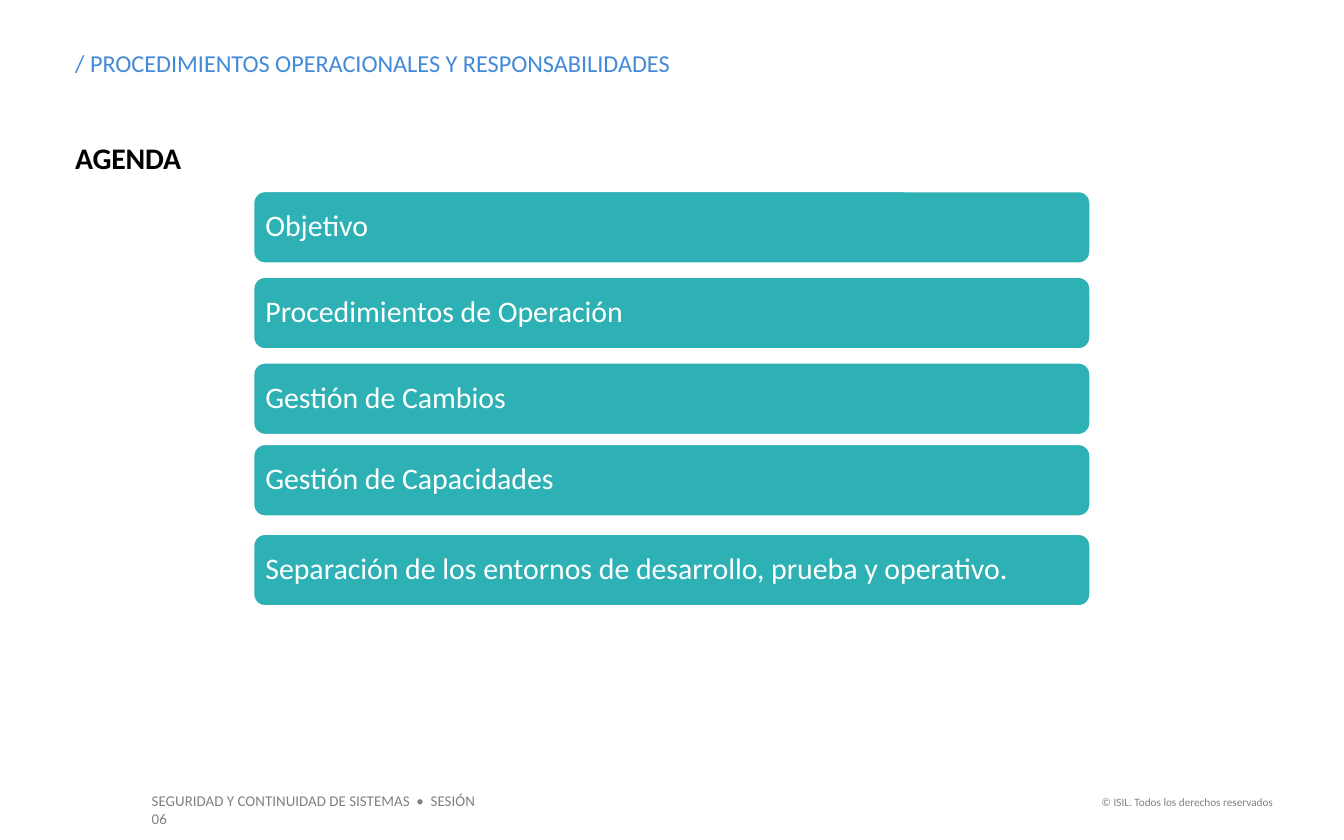
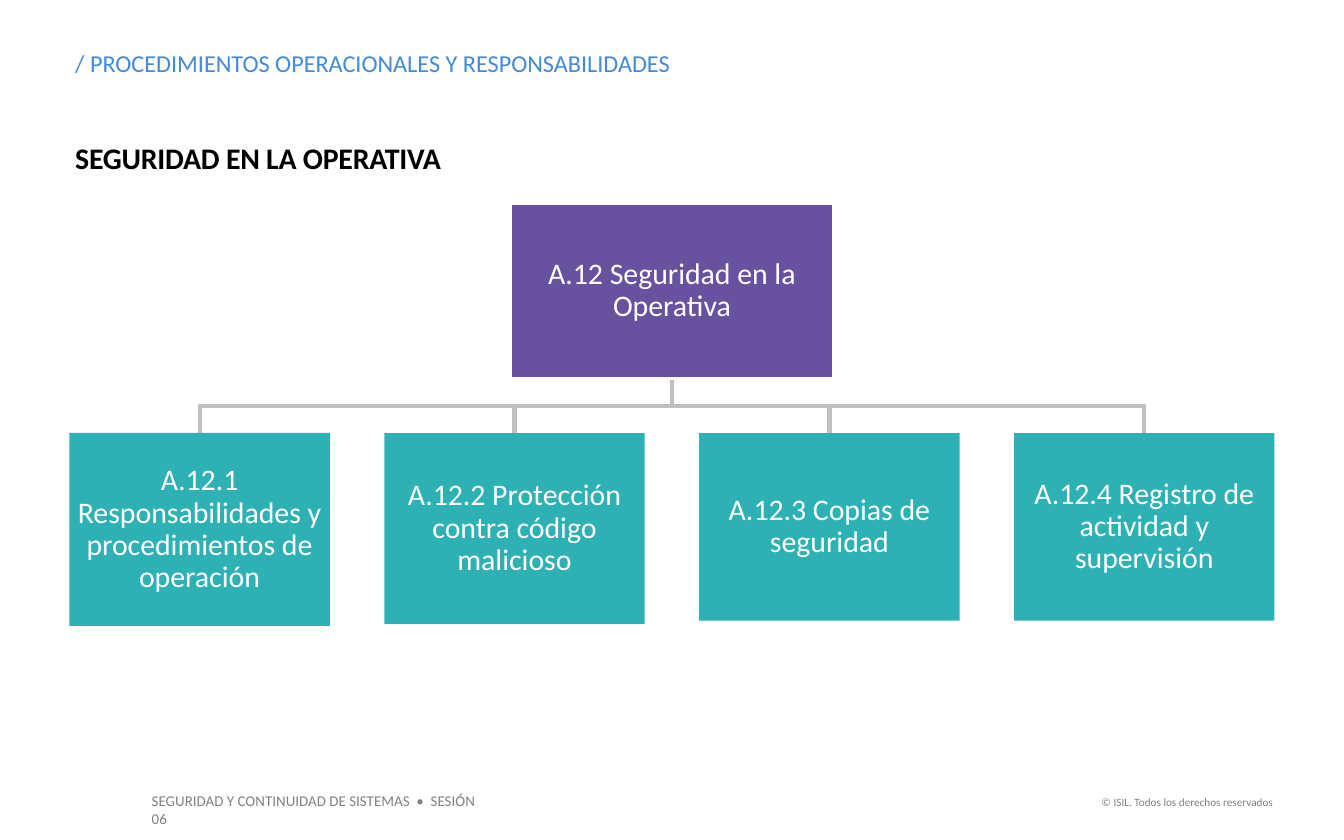
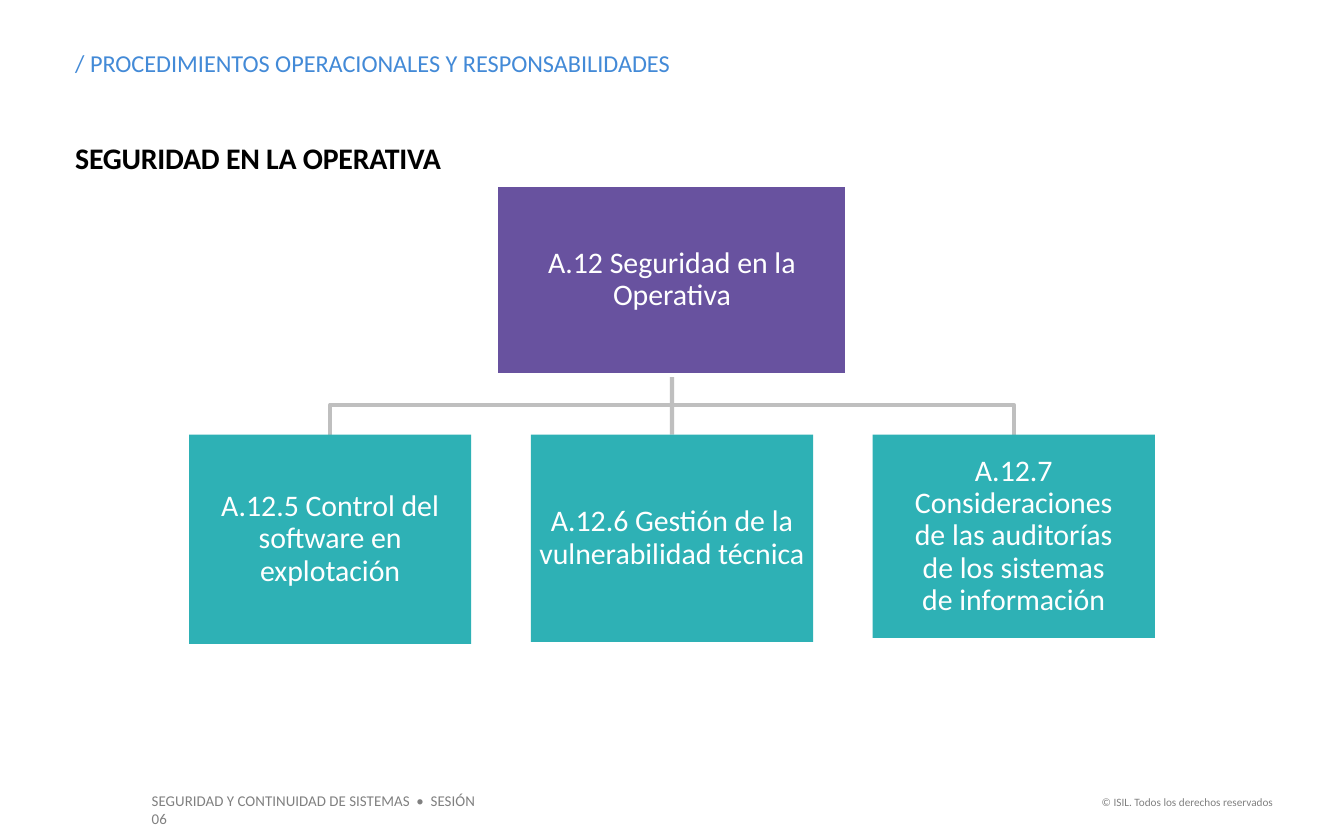
from collections import namedtuple

from lxml import etree
from pptx import Presentation
from pptx.dml.color import RGBColor
from pptx.enum.shapes import MSO_CONNECTOR, MSO_SHAPE
from pptx.enum.text import MSO_ANCHOR, MSO_AUTO_SIZE, PP_ALIGN
from pptx.oxml.ns import qn
from pptx.util import Pt

RECTANGLE = MSO_SHAPE.RECTANGLE
ROUNDED = MSO_SHAPE.ROUNDED_RECTANGLE
STRAIGHT = MSO_CONNECTOR.STRAIGHT
TOP, MIDDLE = MSO_ANCHOR.TOP, MSO_ANCHOR.MIDDLE
LEFT, CENTER, RIGHT = PP_ALIGN.LEFT, PP_ALIGN.CENTER, PP_ALIGN.RIGHT
NO_AUTOFIT = MSO_AUTO_SIZE.NONE

WHITE = RGBColor(0xFF, 0xFF, 0xFF)
BLACK = RGBColor(0x00, 0x00, 0x00)
BLUE = RGBColor(0x43, 0x8A, 0xD7)
TEAL = RGBColor(0x2E, 0xB1, 0xB5)
PURPLE = RGBColor(0x68, 0x52, 0x9F)
GRAY = RGBColor(0x80, 0x80, 0x80)
BRANCH_GRAY = RGBColor(0xBF, 0xBF, 0xBF)

FONT = "Calibri"
TITLE_ONLY = 5
ROOT_BOTTOM, CONTROL_TOP = 2, 0

UNIT = "/ PROCEDIMIENTOS OPERACIONALES Y RESPONSABILIDADES"
COURSE = "SEGURIDAD Y CONTINUIDAD DE SISTEMAS  •  SESIÓN 06"
RIGHTS = "© ISIL. Todos los derechos reservados"
DOMAIN = "A.12 Seguridad en la Operativa"

Box = namedtuple("Box", "left top width height")

UNIT_BOX = Box(40.3, 25.9, 475, 16)
TITLE_BOX = Box(40.3, 74.9, 643, 19.5)
COURSE_BOX = Box(74.2, 420.5, 197.3, 17)
RIGHTS_BOX = Box(581, 422.6, 108, 14.5)


def points(box):
    return [Pt(length) for length in box]


def write(frame, text, size, color, align=LEFT, anchor=TOP, inset=(0, 0), bold=False, spacing=1.0):
    frame.text = text
    frame.word_wrap = True
    frame.auto_size = NO_AUTOFIT
    frame.vertical_anchor = anchor
    frame.margin_left = frame.margin_right = Pt(inset[0])
    frame.margin_top = frame.margin_bottom = Pt(inset[1])
    for paragraph in frame.paragraphs:
        paragraph.alignment = align
        paragraph.line_spacing = spacing
        for run in paragraph.runs:
            run.font.name = FONT
            run.font.size = Pt(size)
            run.font.bold = bold
            run.font.color.rgb = color


def label(slide, box, text, size, color, **style):
    write(slide.shapes.add_textbox(*points(box)).text_frame, text, size, color, **style)


def panel(slide, kind, box, text, fill, outlined, align, inset):
    shape = slide.shapes.add_shape(kind, *points(box))
    shape.shadow.inherit = False
    shape.fill.solid()
    shape.fill.fore_color.rgb = fill
    if outlined:
        shape.line.color.rgb = WHITE
        shape.line.width = Pt(2)
    else:
        shape.line.fill.background()
    write(shape.text_frame, text, 16, WHITE, align=align, anchor=MIDDLE,
          inset=(inset, inset), spacing=0.9)
    return shape


def course_slide(deck, heading):
    slide = deck.slides.add_slide(deck.slide_layouts[TITLE_ONLY])
    title = slide.shapes.title
    title.left, title.top, title.width, title.height = points(TITLE_BOX)
    write(title.text_frame, heading, 16, BLACK, bold=True)
    for run in title.text_frame.paragraphs[0].runs:
        run.font._element.set("spc", "-10")
    label(slide, UNIT_BOX, UNIT, 13, BLUE)
    label(slide, COURSE_BOX, COURSE, 8, GRAY, inset=(7.2, 3.6))
    label(slide, RIGHTS_BOX, RIGHTS, 6, GRAY, align=RIGHT, inset=(7.2, 3.6))
    return slide


def agenda(slide, box, topics, bar_height):
    for offset, topic in topics:
        bar = Box(box.left, box.top + offset, box.width, bar_height)
        panel(slide, ROUNDED, bar, topic, TEAL, True, LEFT, 5)


def style_branch(branch):
    branch.line.color.rgb = BRANCH_GRAY
    branch.line.width = Pt(2.25)


def elbow(slide, start_x, start_y, end_x, end_y):
    bend_y = (start_y + end_y) / 2
    builder = slide.shapes.build_freeform(Pt(start_x), Pt(start_y))
    builder.add_line_segments(
        [(Pt(start_x), Pt(bend_y)), (Pt(end_x), Pt(bend_y)), (Pt(end_x), Pt(end_y))], close=False)
    branch = builder.convert_to_shape()
    branch.fill.background()
    branch.shadow.inherit = False
    style_branch(branch)


def straight_branch(slide, x, start_y, end_y):
    branch = slide.shapes.add_connector(STRAIGHT, Pt(x), Pt(start_y), Pt(x), Pt(end_y))
    style_branch(branch)
    etree.SubElement(branch._element.spPr, qn("a:effectLst"))
    return branch


def control_tree(slide, box, root_width, root_height, control_width, controls):
    center = box.left + box.width / 2
    root_bottom = box.top + root_height
    controls_top = box.top + box.height - max(height for _, height in controls)
    step = (box.width - control_width) / (len(controls) - 1)
    lefts = [box.left + i * step for i in range(len(controls))]

    trunks = {}
    for i, left in enumerate(lefts):
        control_center = left + control_width / 2
        if abs(control_center - center) < 0.01:
            trunks[i] = straight_branch(slide, center, root_bottom, controls_top)
        else:
            elbow(slide, center, root_bottom, control_center, controls_top)

    root_box = Box(center - root_width / 2, box.top, root_width, root_height)
    root = panel(slide, RECTANGLE, root_box, DOMAIN, PURPLE, True, CENTER, 0.7)
    for i, (left, (name, height)) in enumerate(zip(lefts, controls)):
        control_box = Box(left, controls_top, control_width, height)
        control = panel(slide, RECTANGLE, control_box, name, TEAL, False, CENTER, 0.7)
        if i in trunks:
            trunks[i].begin_connect(root, ROOT_BOTTOM)
            trunks[i].end_connect(control, CONTROL_TOP)


def main():
    deck = Presentation()
    deck.slide_width, deck.slide_height = Pt(720), Pt(450)

    agenda(course_slide(deck, "AGENDA"), Box(135.3, 102, 449.3, 223.2), [
        (0, "Objetivo"),
        (45.9, "Procedimientos de Operación"),
        (91.8, "Gestión de Cambios"),
        (135.5, "Gestión de Capacidades"),
        (183.6, "Separación de los entornos de desarrollo, prueba y operativo."),
    ], 39.6)

    control_tree(course_slide(deck, "SEGURIDAD EN LA OPERATIVA"),
                 Box(37.2, 108.8, 645.6, 226.6), 173.4, 94, 139.5, [
        ("A.12.1 Responsabilidades y procedimientos de operación", 103.4),
        ("A.12.2 Protección contra código malicioso", 102.3),
        ("A.12.3 Copias de seguridad", 100.5),
        ("A.12.4 Registro de actividad y supervisión", 100.5),
    ])

    control_tree(course_slide(deck, "SEGURIDAD EN LA OPERATIVA"),
                 Box(101.3, 99.2, 517.4, 245.8), 188, 101.6, 151.2, [
        ("A.12.5 Control del software en explotación", 112.2),
        ("A.12.6 Gestión de la vulnerabilidad técnica", 111.1),
        ("A.12.7 Consideraciones\vde las auditorías\vde los sistemas\vde información", 109),
    ])

    deck.save("out.pptx")


if __name__ == "__main__":
    main()
